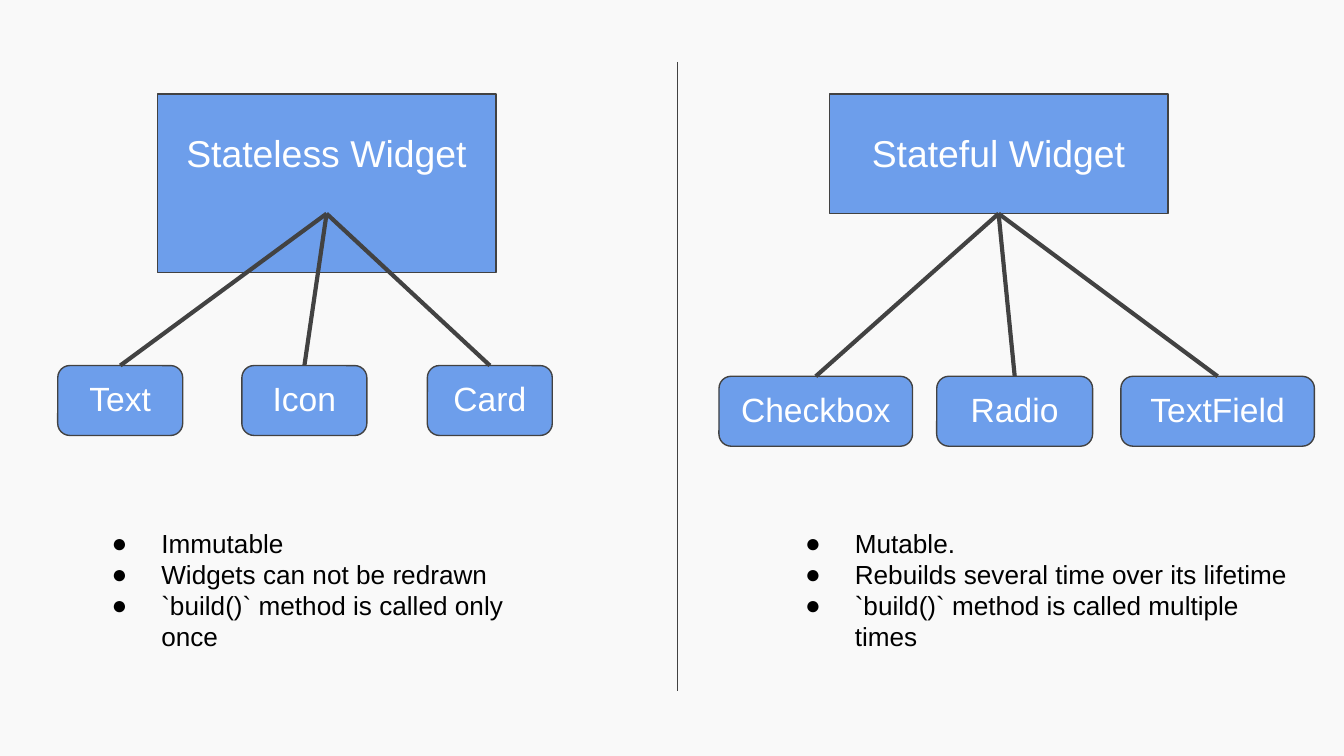
from lxml import etree
from pptx import Presentation
from pptx.dml.color import RGBColor
from pptx.enum.shapes import MSO_CONNECTOR, MSO_SHAPE
from pptx.enum.text import MSO_ANCHOR, MSO_AUTO_SIZE, PP_ALIGN
from pptx.oxml.ns import qn
from pptx.util import Inches, Pt

BACKGROUND = RGBColor(0xF9, 0xF9, 0xF9)
BLUE = RGBColor(0x6D, 0x9E, 0xEB)
GREY = RGBColor(0x42, 0x42, 0x42)
WHITE = RGBColor(0xFF, 0xFF, 0xFF)
BLACK = RGBColor(0x00, 0x00, 0x00)

STRAIGHT = MSO_CONNECTOR.STRAIGHT
RECT, ROUNDED = MSO_SHAPE.RECTANGLE, MSO_SHAPE.ROUNDED_RECTANGLE
TOP, MIDDLE = MSO_ANCHOR.TOP, MSO_ANCHOR.MIDDLE
LEFT, CENTER = PP_ALIGN.LEFT, PP_ALIGN.CENTER
NO_AUTOFIT = MSO_AUTO_SIZE.NONE
TOP_SIDE, BOTTOM_SIDE = 0, 2

HEADING_TOP, HEADING_W, HEADING_H = 0.7, 2.52, 0.89
APEX_Y = HEADING_TOP + HEADING_H
CHIP_H, CHIP_RADIUS = 0.52, 0.09
LIST_TOP, LIST_H = 3.92, 0.95


def write(shape, lines, size=14, color=BLACK, align=LEFT, anchor=TOP,
          inset_top=0.0, inset_bottom=0.0, spacing=None):
    """Fill a shape with one paragraph per line and return the paragraphs."""
    tf = shape.text_frame
    tf.word_wrap = True
    tf.auto_size = NO_AUTOFIT
    tf.vertical_anchor = anchor
    tf.margin_left = tf.margin_right = 0
    tf.margin_top, tf.margin_bottom = Inches(inset_top), Inches(inset_bottom)
    for i, line in enumerate(lines):
        p = tf.paragraphs[0] if i == 0 else tf.add_paragraph()
        p.alignment = align
        p.space_before = Pt(0)
        if spacing:
            p.line_spacing = Pt(spacing)
        r = p.add_run()
        r.text = line
        r.font.name = "Arial"
        r.font.size = Pt(size)
        r.font.color.rgb = color
    return tf.paragraphs


class Slide:
    def __init__(self, prs):
        self.s = prs.slides.add_slide(prs.slide_layouts.get_by_name("Two Content"))
        self.s.background.fill.solid()
        self.s.background.fill.fore_color.rgb = BACKGROUND

    def place(self, sp, x, y, w, h):
        sp.left, sp.top = Inches(x), Inches(y)
        sp.width, sp.height = Inches(w), Inches(h)

    def paint(self, sp):
        sp.shadow.inherit = False
        sp.fill.solid()
        sp.fill.fore_color.rgb = BLUE
        sp.line.color.rgb = GREY
        sp.line.width = Pt(0.75)

    def box(self, kind, x, y, w, h):
        sp = self.s.shapes.add_shape(kind, Inches(x), Inches(y), Inches(w), Inches(h))
        self.paint(sp)
        return sp

    def heading(self, sp, text):
        write(sp, [text], size=20, color=WHITE, align=CENTER, inset_top=0.27)

    def title(self, text, x, h):
        sp = self.s.shapes.title
        self.place(sp, x, HEADING_TOP, HEADING_W, h)
        self.paint(sp)
        self.heading(sp, text)

    def heading_box(self, text, x):
        sp = self.box(RECT, x, HEADING_TOP, HEADING_W, HEADING_H)
        self.heading(sp, text)
        return sp

    def chip(self, text, x, y, w):
        sp = self.box(ROUNDED, x, y, w, CHIP_H)
        sp.adjustments[0] = CHIP_RADIUS / CHIP_H
        write(sp, [text], size=18, color=WHITE, align=CENTER, anchor=MIDDLE,
              inset_bottom=0.03)
        return sp

    def line(self, x1, y1, x2, y2, width):
        c = self.s.shapes.add_connector(
            STRAIGHT, Inches(x1), Inches(y1), Inches(x2), Inches(y2))
        c.line.color.rgb = GREY
        c.line.width = Pt(width)
        etree.SubElement(c._element.spPr, qn("a:effectLst"))
        return c

    def branches(self, apex_x, chip_y, chips, parent=None):
        """Draw the chips and join each one to the apex under the heading."""
        for text, x, w in chips:
            sp = self.chip(text, x, chip_y, w)
            c = self.line(apex_x, APEX_Y, x + w / 2, chip_y, 2.25)
            if parent is not None:
                c.begin_connect(parent, BOTTOM_SIDE)
            c.end_connect(sp, TOP_SIDE)

    def bullets(self, idx, lines, x, w):
        sp = self.s.placeholders[idx]
        self.place(sp, x, LIST_TOP, w, LIST_H)
        for p in write(sp, lines, inset_top=0.01, spacing=16.6):
            pPr = p._p.get_or_add_pPr()
            pPr.set("marL", str(Inches(0.38)))
            pPr.set("indent", str(-Inches(0.37)))
            etree.SubElement(pPr, qn("a:buFont"), typeface="Arial")
            etree.SubElement(pPr, qn("a:buChar"), char="●")


def main():
    prs = Presentation()
    prs.slide_width = Inches(10)
    prs.slide_height = prs.slide_width * 9 // 16
    slide = Slide(prs)

    slide.title("Stateless Widget", 1.17, 1.33)
    slide.branches(2.43, 2.72, [("Text", 0.43, 0.93), ("Icon", 1.8, 0.93),
                                ("Card", 3.18, 0.93)])
    slide.bullets(1, ["Immutable", "Widgets can not be redrawn",
                      "`build()` method is called only once"], 0.82, 3.2)

    slide.line(5.04, 0.46, 5.04, 5.14, 0.75)

    stateful = slide.heading_box("Stateful Widget", 6.17)
    slide.branches(7.43, 2.8, [("Checkbox", 5.35, 1.44), ("Radio", 6.97, 1.16),
                               ("TextField", 8.34, 1.44)], stateful)
    slide.bullets(2, ["Mutable.", "Rebuilds several time over its lifetime",
                      "`build()` method is called multiple times"], 5.98, 3.7)

    prs.save("out.pptx")


if __name__ == "__main__":
    main()
